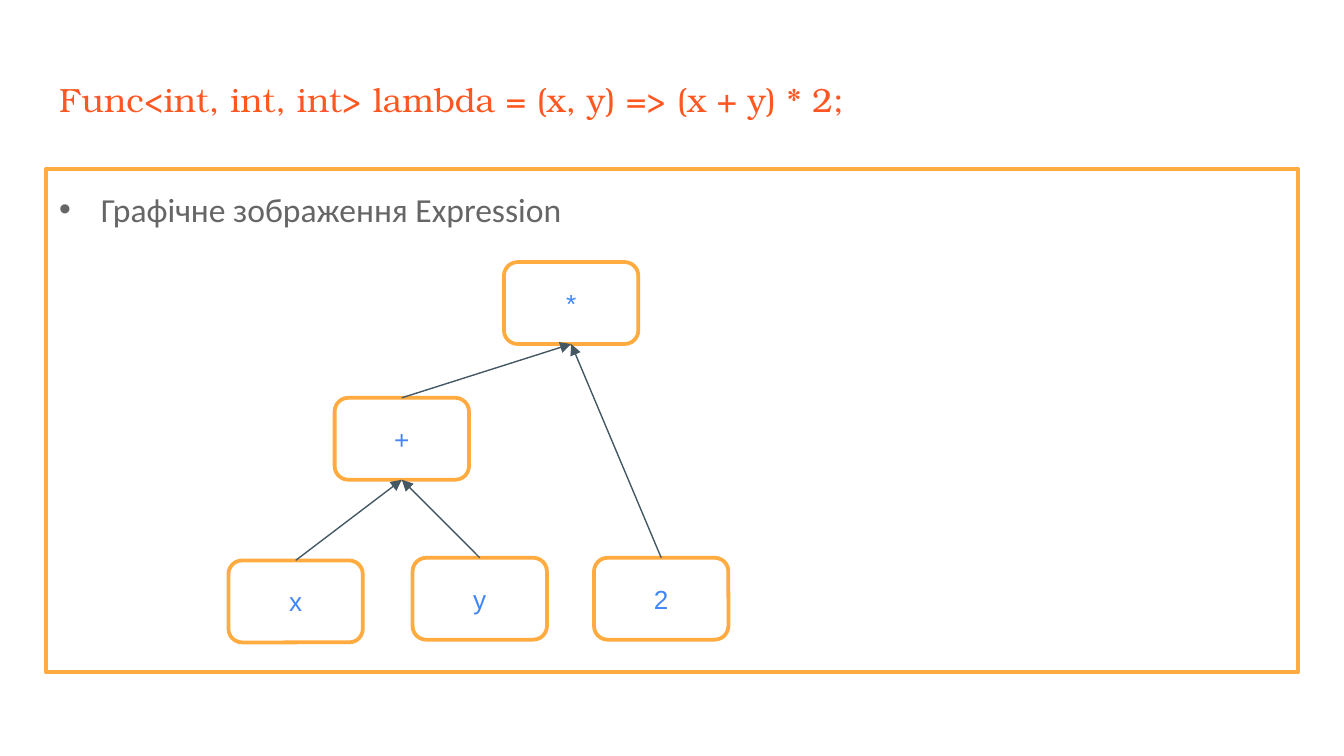
"""Build a slide that shows a lambda as an expression tree."""
from lxml import etree
from pptx import Presentation
from pptx import util as u
from pptx.dml import color
from pptx.enum import shapes, text
from pptx.oxml import ns

HUES = {"title": "FF5722", "body": "666666", "edge": "FFAB40",
        "node": "4285F4", "arrow": "435863", "paper": "FFFFFF"}
FONTS = {
    "title": {"name": "TeX Gyre Bonum", "size": u.Pt(18), "bold": False},
    "body": {"name": "Calibri", "size": u.Pt(18)},
    "node": {"name": "Arial", "size": u.Pt(14)},
}
FRAME = {"word_wrap": True, "auto_size": text.MSO_AUTO_SIZE.NONE,
         "vertical_anchor": text.MSO_ANCHOR.TOP,
         "margin_left": u.Inches(0.1), "margin_right": u.Inches(0.1),
         "margin_top": u.Inches(0.1), "margin_bottom": u.Inches(0.1)}
LEFT = {"alignment": text.PP_ALIGN.LEFT}
LIST = {**LEFT, "line_spacing": 1.15, "space_before": u.Pt(0),
        "space_after": u.Pt(16)}
NODES = {"x": (1.7, 4.17), "y": (3.07, 4.15), "2": (4.42, 4.15),
         "+": (2.49, 2.96), "*": (3.75, 1.95)}
LINKS = [("x", "+"), ("y", "+"), ("+", "*"), ("2", "*")]
TOP, BOTTOM = 0, 2


def apply(item, values):
    """Set each attribute named in values."""
    for name, value in values.items():
        setattr(item, name, value)


def rgb(name):
    """Return a palette colour."""
    return color.RGBColor.from_string(HUES[name])


def write(shape, words, style, para):
    """Fill a shape with one styled paragraph and return it."""
    line = shape.text_frame.paragraphs[0]
    apply(line, para)
    run = line.add_run()
    run.text = words
    apply(run.font, FONTS[style])
    run.font.color.rgb = rgb(style)
    return line


def stroke(line, name, width):
    """Colour a line and set its width."""
    line.color.rgb = rgb(name)
    line.width = u.Pt(width)


def child(parent, tag, **attrs):
    """Append a drawing element."""
    return etree.SubElement(parent, ns.qn(tag), attrs)


def place(holder, box, words, style, para):
    """Move a placeholder and write its text."""
    names = ("left", "top", "width", "height")
    apply(holder, dict(zip(names, map(u.Inches, box))))
    apply(holder.text_frame, FRAME)
    return write(holder, words, style, para)


def bullet(line):
    """Give a paragraph a hanging round bullet."""
    props = line._p.get_or_add_pPr()
    props.set("marL", str(u.Inches(0.31)))
    props.set("indent", str(u.Inches(-0.31)))
    child(child(props, "a:buClr"), "a:srgbClr", val=HUES["body"])
    child(props, "a:buFont", typeface="Arial")
    child(props, "a:buChar", char="•")


def node(slide, words, spot):
    """Draw one rounded tree node."""
    shape = slide.shapes.add_shape(
        shapes.MSO_SHAPE.ROUNDED_RECTANGLE, *map(u.Inches, (*spot, 1, 0.61)))
    shape.shadow.inherit = False
    shape.fill.solid()
    shape.fill.fore_color.rgb = rgb("paper")
    stroke(shape.line, "edge", 2)
    shape.text_frame.vertical_anchor = text.MSO_ANCHOR.MIDDLE
    write(shape, words, "node", {"alignment": text.PP_ALIGN.CENTER})
    return shape


def arrow(slide, low, high):
    """Join the top of one node to the bottom of another."""
    link = slide.shapes.add_connector(
        shapes.MSO_CONNECTOR.STRAIGHT, 0, 0, 0, 0)
    link.begin_connect(low, TOP)
    link.end_connect(high, BOTTOM)
    stroke(link.line, "arrow", 0.75)
    child(link.line._get_or_add_ln(), "a:tailEnd", type="triangle")
    child(link._element.spPr, "a:effectLst")


def main():
    """Build and save the slide."""
    deck = Presentation()
    deck.slide_width = u.Inches(10)
    deck.slide_height = deck.slide_width * 9 // 16
    slide = deck.slides.add_slide(deck.slide_layouts[1])
    title, body = slide.placeholders
    place(title, (0.34, 0.49, 9.32, 0.63),
          "Func<int, int, int> lambda = (x, y) => (x + y) * 2;", "title", LEFT)
    bullet(place(body, (0.34, 1.26, 9.32, 3.74),
                 "Графічне зображення Expression", "body", LIST))
    stroke(body.line, "edge", 2.25)
    tree = {words: node(slide, words, spot) for words, spot in NODES.items()}
    for low, high in LINKS:
        arrow(slide, tree[low], tree[high])
    deck.save("out.pptx")


if __name__ == "__main__":
    main()
